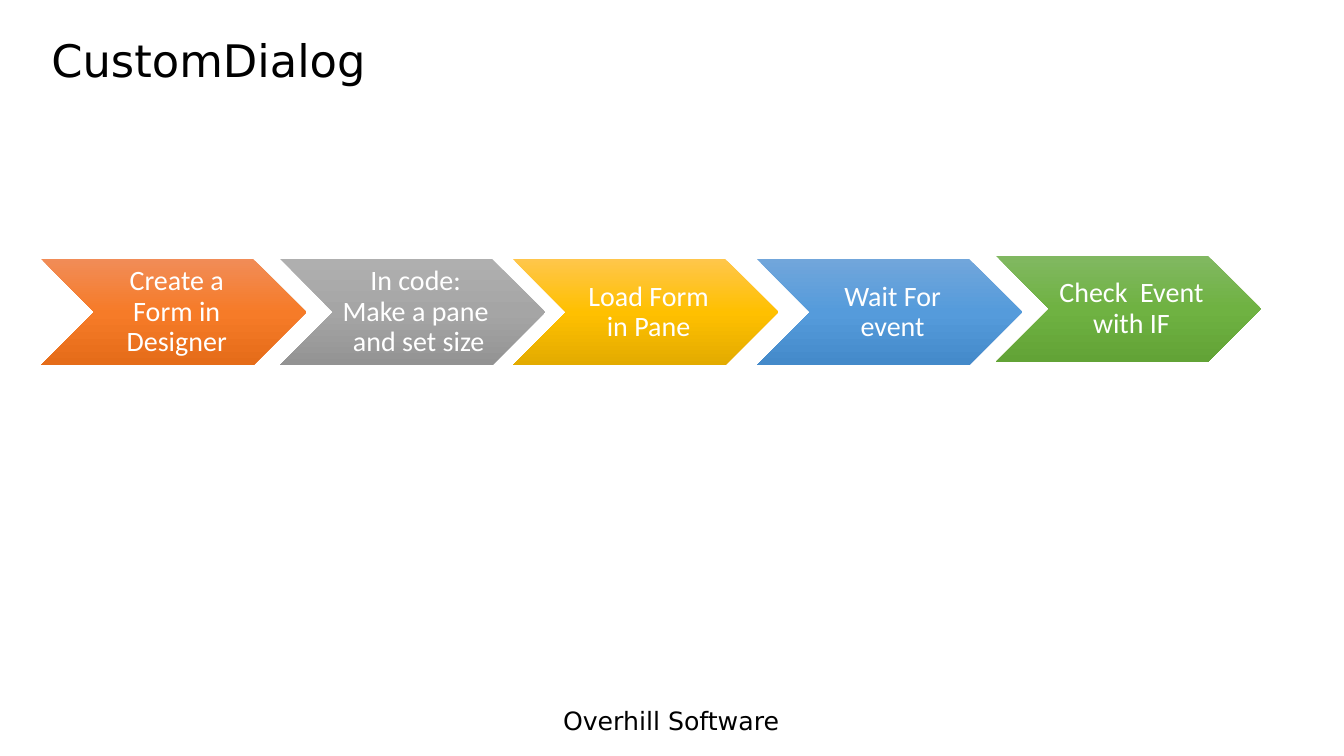
import copy

import pptx
import pptx.dml.color
import pptx.enum.shapes
import pptx.enum.text
import pptx.oxml.ns
import pptx.util

Cm = pptx.util.Cm
Pt = pptx.util.Pt
RGBColor = pptx.dml.color.RGBColor
Align = pptx.enum.text.PP_ALIGN
Anchor = pptx.enum.text.MSO_ANCHOR

BLACK = RGBColor(0x00, 0x00, 0x00)
WHITE = RGBColor(0xFF, 0xFF, 0xFF)
ORANGE = (RGBColor(0xF1, 0x8C, 0x57), RGBColor(0xF6, 0x7B, 0x28), RGBColor(0xE5, 0x6C, 0x19))
GRAY = (RGBColor(0xAF, 0xAF, 0xAF), RGBColor(0xA5, 0xA5, 0xA5), RGBColor(0x93, 0x93, 0x93))
GOLD = (RGBColor(0xFF, 0xC6, 0x4B), RGBColor(0xFF, 0xC0, 0x00), RGBColor(0xE3, 0xAB, 0x00))
BLUE = (RGBColor(0x71, 0xA6, 0xDB), RGBColor(0x55, 0x9B, 0xDB), RGBColor(0x44, 0x8A, 0xCA))
GREEN = (RGBColor(0x81, 0xB8, 0x61), RGBColor(0x6F, 0xB2, 0x42), RGBColor(0x62, 0xA3, 0x36))

TITLE = "CustomDialog"
FOOTER = "Overhill Software"
# Text, left and top in cm, gradient colours
STEPS = [
    ("Create a Form in Designer", 1.04, 6.53, ORANGE),
    ("In code: Make a pane  and set size", 7.06, 6.53, GRAY),
    ("Load Form in Pane", 12.93, 6.53, GOLD),
    ("Wait For event", 19.08, 6.53, BLUE),
    ("Check  Event with IF", 25.1, 6.45, GREEN),
]
STEP_WIDTH, STEP_HEIGHT = Cm(6.68), Cm(2.67)


def write(text_frame, text, font_name, size, color, alignment, line_spacing=1.0):
    text_frame.word_wrap = True
    text_frame.vertical_anchor = Anchor.MIDDLE
    paragraph = text_frame.paragraphs[0]
    paragraph.alignment = alignment
    paragraph.line_spacing = line_spacing
    run = paragraph.add_run()
    run.text = text
    run.font.name = font_name
    run.font.size = Pt(size)
    run.font.color.rgb = color


def fill_downwards(shape, colors):
    """Fill with evenly spaced gradient colours from top to bottom."""
    shape.fill.gradient()
    shape.fill.gradient_angle = 270
    stop_list = shape._element.spPr.find(".//" + pptx.oxml.ns.qn("a:gsLst"))
    stop_list.insert(1, copy.deepcopy(stop_list[0]))
    for index, (stop, color) in enumerate(zip(shape.fill.gradient_stops, colors)):
        stop.position = index / (len(colors) - 1)
        stop.color.rgb = color


def add_step(slide, text, left, top, colors):
    chevron = slide.shapes.add_shape(
        pptx.enum.shapes.MSO_SHAPE.CHEVRON, Cm(left), Cm(top), STEP_WIDTH, STEP_HEIGHT)
    chevron.shadow.inherit = False
    chevron.line.fill.background()
    fill_downwards(chevron, colors)
    frame = chevron.text_frame
    frame.margin_left = Cm(0.23)
    frame.margin_right = frame.margin_top = frame.margin_bottom = Cm(0.08)
    write(frame, text, "Calibri", 20, WHITE, Align.CENTER, 0.9)


def main():
    presentation = pptx.Presentation()
    presentation.slide_width, presentation.slide_height = Cm(33.87), Cm(19.05)
    slide = presentation.slides.add_slide(presentation.slide_layouts.get_by_name("Title Only"))

    title = slide.shapes.title
    title.left, title.top, title.width, title.height = Cm(1.04), Cm(0.38), Cm(30.5), Cm(2.41)
    write(title.text_frame, TITLE, "DejaVu Sans", 32, BLACK, Align.LEFT, 0.9)

    for step in STEPS:
        add_step(slide, *step)

    footer = slide.shapes.add_textbox(Cm(13.94), Cm(17.65), Cm(7.37), Cm(1.02))
    write(footer.text_frame, FOOTER, "DejaVu Sans", 18, BLACK, Align.LEFT)

    presentation.save("out.pptx")


if __name__ == "__main__":
    main()
